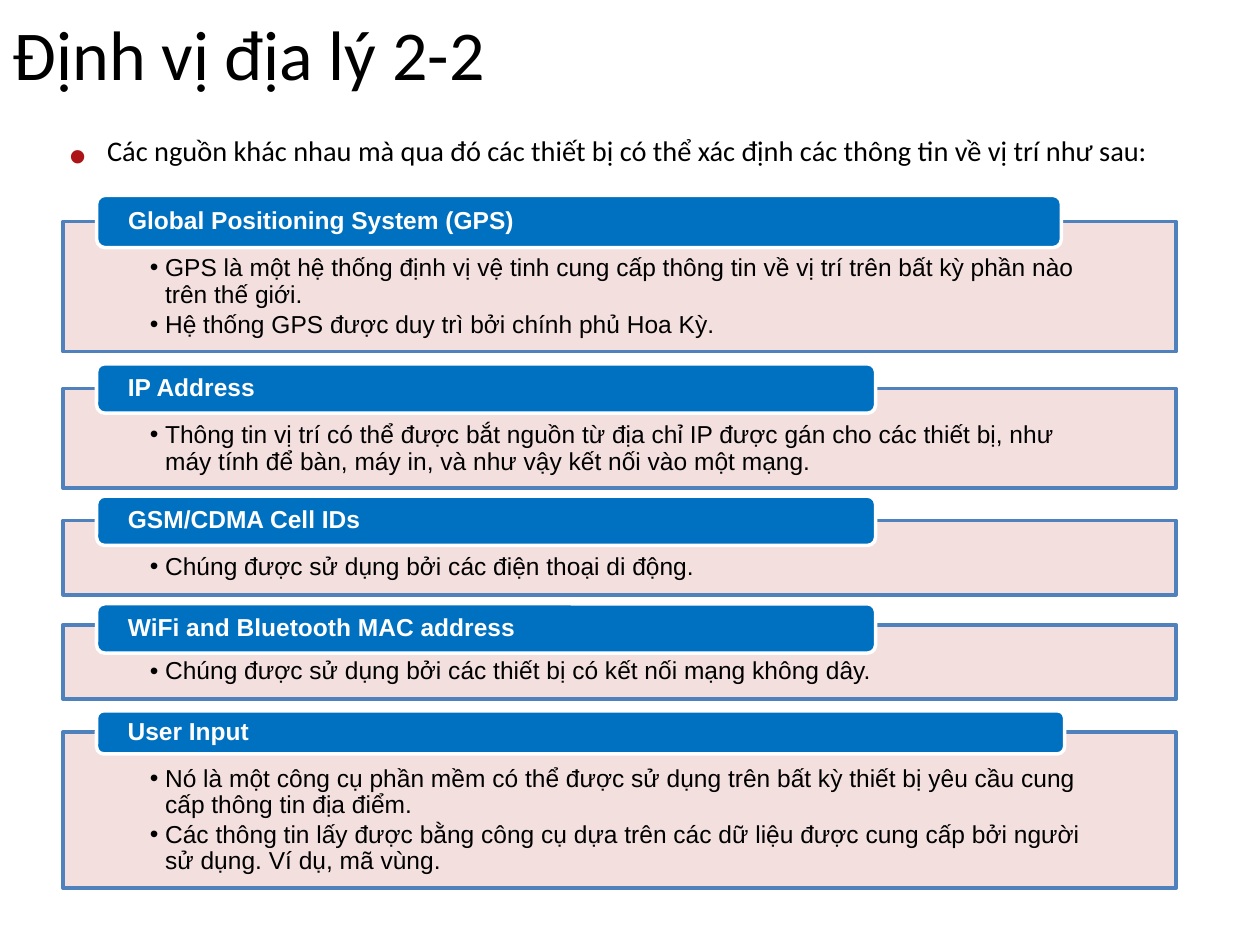
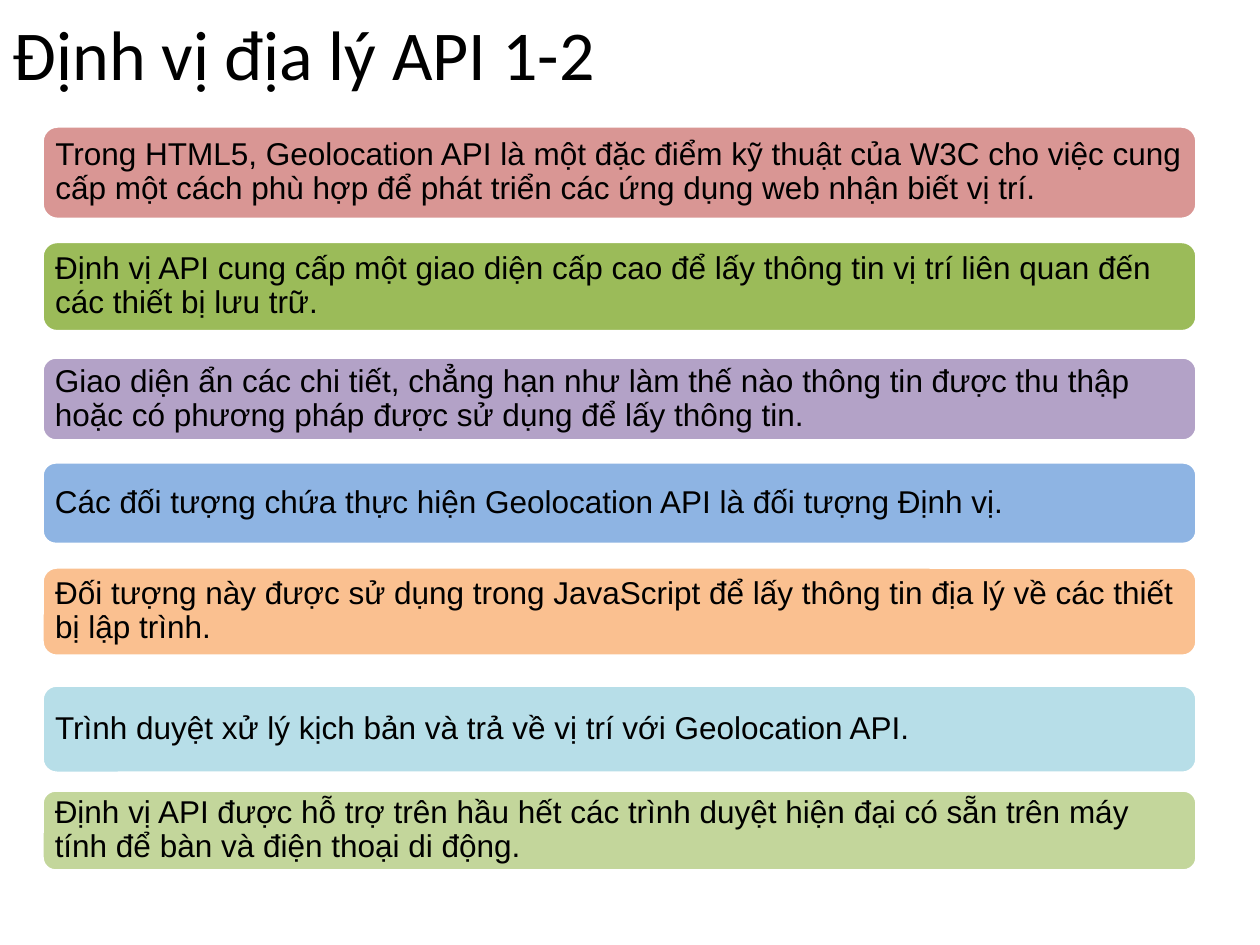
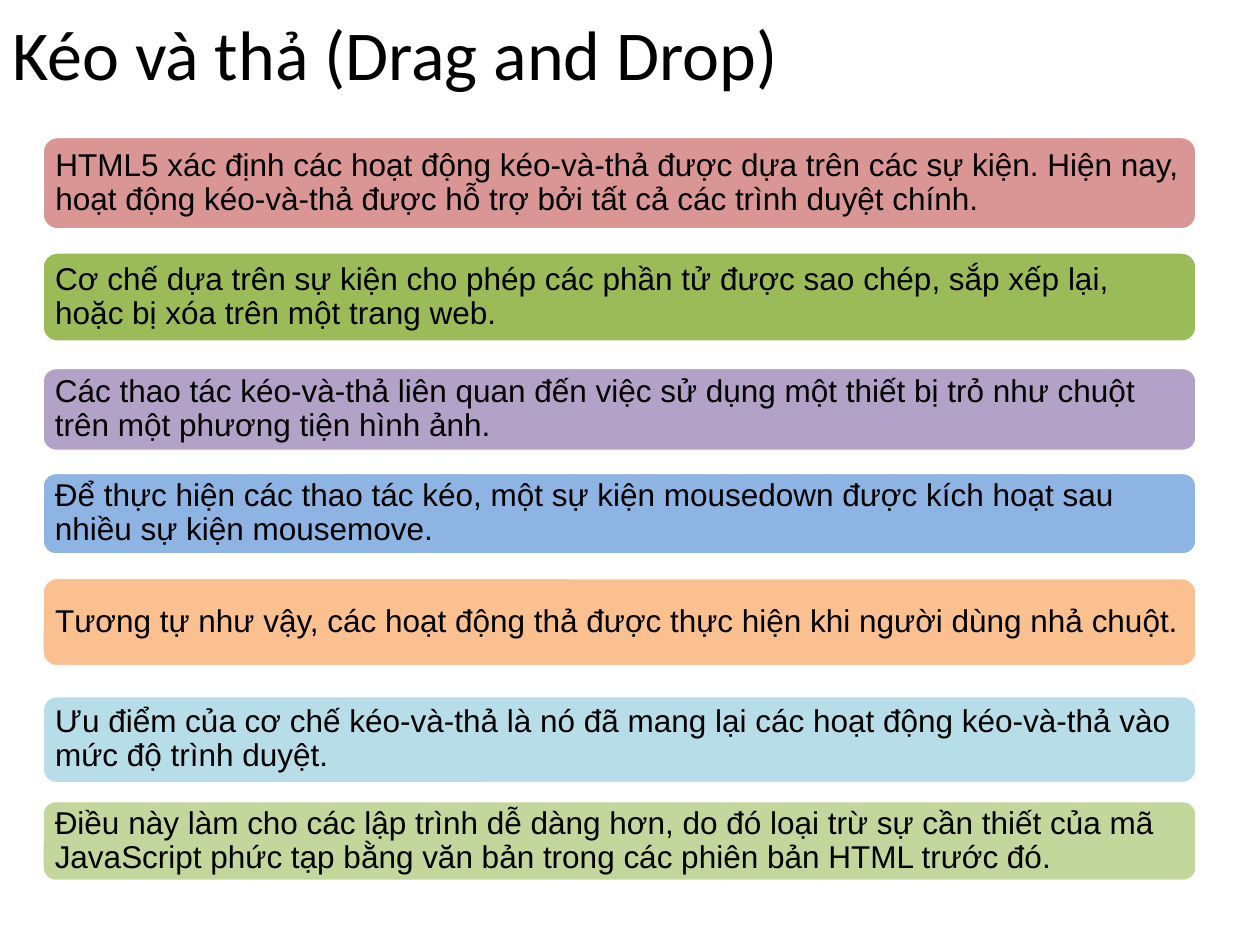
from lxml import etree
from pptx import Presentation, util as u
from pptx.dml.color import RGBColor
from pptx.enum import shapes, text
from pptx.oxml.ns import qn

COLORS = {
    "ink": "000000", "paper": "FFFFFF", "dot": "AC1418",
    "header": "0070C0", "panel": "F2DCDB", "panel_edge": "4F81BD",
    "rose": "D99694", "green": "9BBB59", "violet": "B3A2C7", "blue": "8EB4E3",
    "orange": "FAC090", "aqua": "B7DEE8", "lime": "C3D69B",
}
COLUMNS, ROWS = 120, 90

# Sources of position: header, header row, header width, header height,
# panel row, panel height, points
SOURCES = [
    ("Global Positioning System (GPS)", 18.6, 91.9, 5, 21.1, 12.4, [
        "GPS là một hệ thống định vị vệ tinh cung cấp thông tin về vị trí trên bất kỳ phần nào trên thế giới.",
        "Hệ thống GPS được duy trì bởi chính phủ Hoa Kỳ."]),
    ("IP Address", 34.65, 74.2, 4.7, 37, 9.5, [
        "Thông tin vị trí có thể được bắt nguồn từ địa chỉ IP được gán cho các thiết bị, "
        "như máy tính để bàn, máy in, và như vậy kết nối vào một mạng."]),
    ("GSM/CDMA Cell IDs", 47.25, 74.2, 4.7, 49.55, 7.1, [
        "Chúng được sử dụng bởi các điện thoại di động."]),
    ("WiFi and Bluetooth MAC address", 57.5, 74.2, 4.7, 59.5, 7.1, [
        "Chúng được sử dụng bởi các thiết bị có kết nối mạng không dây."]),
    ("User Input", 67.7, 92.2, 4.1, 69.7, 14.9, [
        "Nó là một công cụ phần mềm có thể được sử dụng trên bất kỳ thiết bị yêu cầu cung cấp thông tin địa điểm.",
        "Các thông tin lấy được bằng công cụ dựa trên các dữ liệu được cung cấp bởi người sử dụng. "
        "Ví dụ, mã vùng."]),
]

# Statement bands: colour, row below the first band, height
BANDS = [("rose", 0, 8.9), ("green", 11, 8.6), ("violet", 22, 8), ("blue", 32, 7.85),
         ("orange", 42, 8.5), ("aqua", 53.25, 8.4), ("lime", 63.25, 7.7)]

GEOLOCATION_API = [
    "Trong HTML5, Geolocation API là một đặc điểm kỹ thuật của W3C cho việc cung cấp một cách phù hợp "
    "để phát triển các ứng dụng web nhận biết vị trí.",
    "Định vị API cung cấp một giao diện cấp cao để lấy thông tin vị trí liên quan đến các thiết bị lưu trữ.",
    "Giao diện ẩn các chi tiết, chẳng hạn như làm thế nào thông tin được thu thập "
    "hoặc có phương pháp được sử dụng để lấy thông tin.",
    "Các đối tượng chứa thực hiện Geolocation API là đối tượng Định vị.",
    "Đối tượng này được sử dụng trong JavaScript để lấy thông tin địa lý về các thiết bị lập trình.",
    "Trình duyệt xử lý kịch bản và trả về vị trí với Geolocation API.",
    "Định vị API được hỗ trợ trên hầu hết các trình duyệt hiện đại có sẵn trên máy tính để bàn "
    "và điện thoại di động.",
]

DRAG_AND_DROP = [
    "HTML5 xác định các hoạt động kéo-và-thả được dựa trên các sự kiện. Hiện nay, "
    "hoạt động kéo-và-thả được hỗ trợ bởi tất cả các trình duyệt chính.",
    "Cơ chế dựa trên sự kiện cho phép các phần tử được sao chép, sắp xếp lại, hoặc bị xóa trên một trang web.",
    "Các thao tác kéo-và-thả liên quan đến việc sử dụng một thiết bị trỏ như chuột "
    "trên một phương tiện hình ảnh.",
    "Để thực hiện các thao tác kéo, một sự kiện mousedown được kích hoạt sau nhiều sự kiện mousemove.",
    "Tương tự như vậy, các hoạt động thả được thực hiện khi người dùng nhả chuột.",
    "Ưu điểm của cơ chế kéo-và-thả là nó đã mang lại các hoạt động kéo-và-thả vào mức độ trình duyệt.",
    "Điều này làm cho các lập trình dễ dàng hơn, do đó loại trừ sự cần thiết của mã JavaScript phức tạp "
    "bằng văn bản trong các phiên bản HTML trước đó.",
]


def rgb(name):
    return RGBColor.from_string(COLORS[name])


def add_bullet(paragraph, color, margin, hang):
    props = paragraph._p.get_or_add_pPr()
    props.set("marL", str(u.Inches(margin)))
    props.set("indent", str(-u.Inches(hang)))
    bullet_color = etree.SubElement(props, qn("a:buClr"))
    etree.SubElement(bullet_color, qn("a:srgbClr"), val=COLORS[color])
    etree.SubElement(props, qn("a:buFont"), typeface="Arial")
    etree.SubElement(props, qn("a:buChar"), char="•")


def write(frame, lines, size=14, font="Arial", color="ink", bold=False, spacing=0.9, after=0,
          insets=(0.1, 0.05, 0.1, 0.05), anchor="MIDDLE", bullet=None, baseline=None):
    """Fill a text frame with one paragraph per line; insets are left, top, right, bottom."""
    frame.word_wrap = True
    frame.auto_size = text.MSO_AUTO_SIZE.NONE
    frame.vertical_anchor = text.MSO_ANCHOR[anchor]
    (frame.margin_left, frame.margin_top,
     frame.margin_right, frame.margin_bottom) = map(u.Inches, insets)
    for index, line in enumerate(lines):
        paragraph = frame.add_paragraph() if index else frame.paragraphs[0]
        paragraph.alignment = text.PP_ALIGN.LEFT
        paragraph.line_spacing = spacing
        paragraph.space_before, paragraph.space_after = u.Pt(0), u.Pt(after)
        if bullet:
            add_bullet(paragraph, *bullet)
        run = paragraph.add_run()
        run.text = line
        run.font.size, run.font.name, run.font.bold = u.Pt(size), font, bold
        run.font.color.rgb = rgb(color)
        if baseline:
            run._r.get_or_add_rPr().set("baseline", str(baseline * 1000))


class Deck:
    def __init__(self):
        self.file = Presentation()
        self.file.slide_width, self.file.slide_height = u.Inches(10), u.Inches(7.5)
        self.slide = None

    def area(self, column, row, columns, rows):
        cell_width = self.file.slide_width / COLUMNS
        cell_height = self.file.slide_height / ROWS
        return (round(column * cell_width), round(row * cell_height),
                round(columns * cell_width), round(rows * cell_height))

    def place(self, holder, *cells):
        holder.left, holder.top, holder.width, holder.height = self.area(*cells)
        return holder.text_frame

    def new_slide(self, title, layout="Title Only"):
        self.slide = self.file.slides.add_slide(self.file.slide_layouts.get_by_name(layout))
        write(self.place(self.slide.shapes.title, 0, 0, 111, 10), [title],
              size=40, font="Calibri", spacing=1.0)

    def intro(self, sentence):
        write(self.place(self.slide.placeholders[1], 3, 12, 114, 8), [sentence],
              size=28, font="Calibri", spacing=u.Pt(21), bullet=("dot", 0.5, 0.3), baseline=30)

    def box(self, kind, cells, fill, edge, lines, opacity=None, **style):
        box = self.slide.shapes.add_shape(shapes.MSO_SHAPE[kind], *self.area(*cells))
        box.shadow.inherit = False
        box.fill.solid()
        box.fill.fore_color.rgb = rgb(fill)
        if opacity:
            shade = box._element.spPr.find(qn("a:solidFill"))[0]
            etree.SubElement(shade, qn("a:alpha"), val=str(opacity * 1000))
        box.line.color.rgb, box.line.width = rgb(edge), u.Pt(2)
        write(box.text_frame, lines, **style)

    def source(self, header, header_row, header_width, header_height, row, height, points):
        self.box("RECTANGLE", (6, row, 106, height), "panel", "panel_edge", points, opacity=90,
                 after=2, insets=(0.69, 0.27, 0.69, 0.11), anchor="TOP", bullet=("ink", 0.12, 0.12))
        self.box("ROUNDED_RECTANGLE", (9.2, header_row, header_width, header_height),
                 "header", "paper", [header], color="paper", bold=True, insets=(0.23, 0, 0.23, 0))

    def statements(self, first_row, sentences):
        for (color, offset, height), sentence in zip(BANDS, sentences):
            self.box("ROUNDED_RECTANGLE", (4, first_row + offset, 110, height),
                     color, "paper", [sentence], size=18, insets=(0.07,) * 4)


def main():
    deck = Deck()

    # Sources of location data
    deck.new_slide("Định vị địa lý 2-2", layout="Title and Content")
    deck.intro("Các nguồn khác nhau mà qua đó các thiết bị có thể xác định "
               "các thông tin về vị trí như sau:")
    for source in SOURCES:
        deck.source(*source)

    # Geolocation API
    deck.new_slide("Định vị địa lý API 1-2")
    deck.statements(12, GEOLOCATION_API)

    # Drag and drop
    deck.new_slide("Kéo và thả (Drag and Drop)")
    deck.statements(13, DRAG_AND_DROP)

    deck.file.save("out.pptx")


if __name__ == "__main__":
    main()
